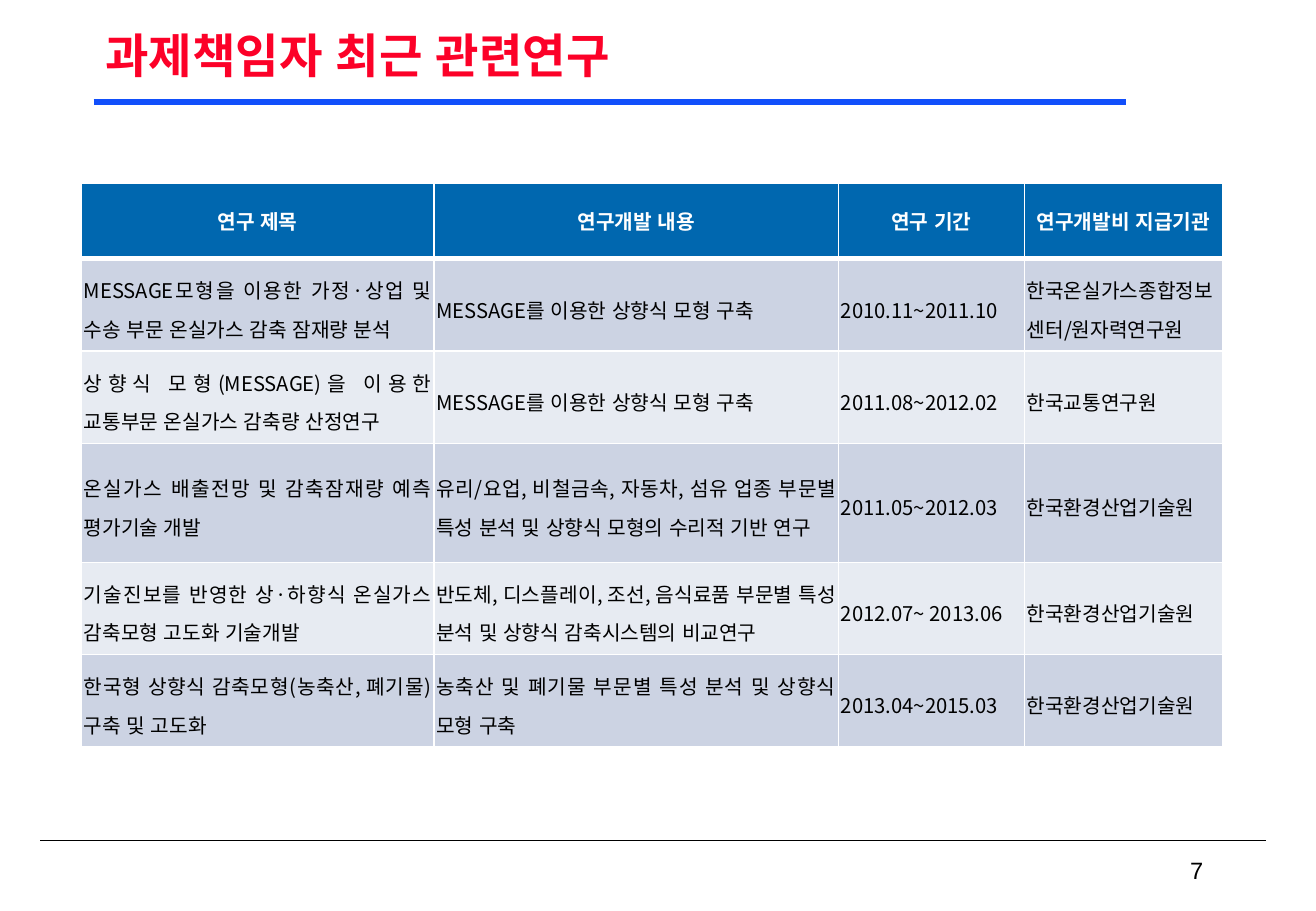
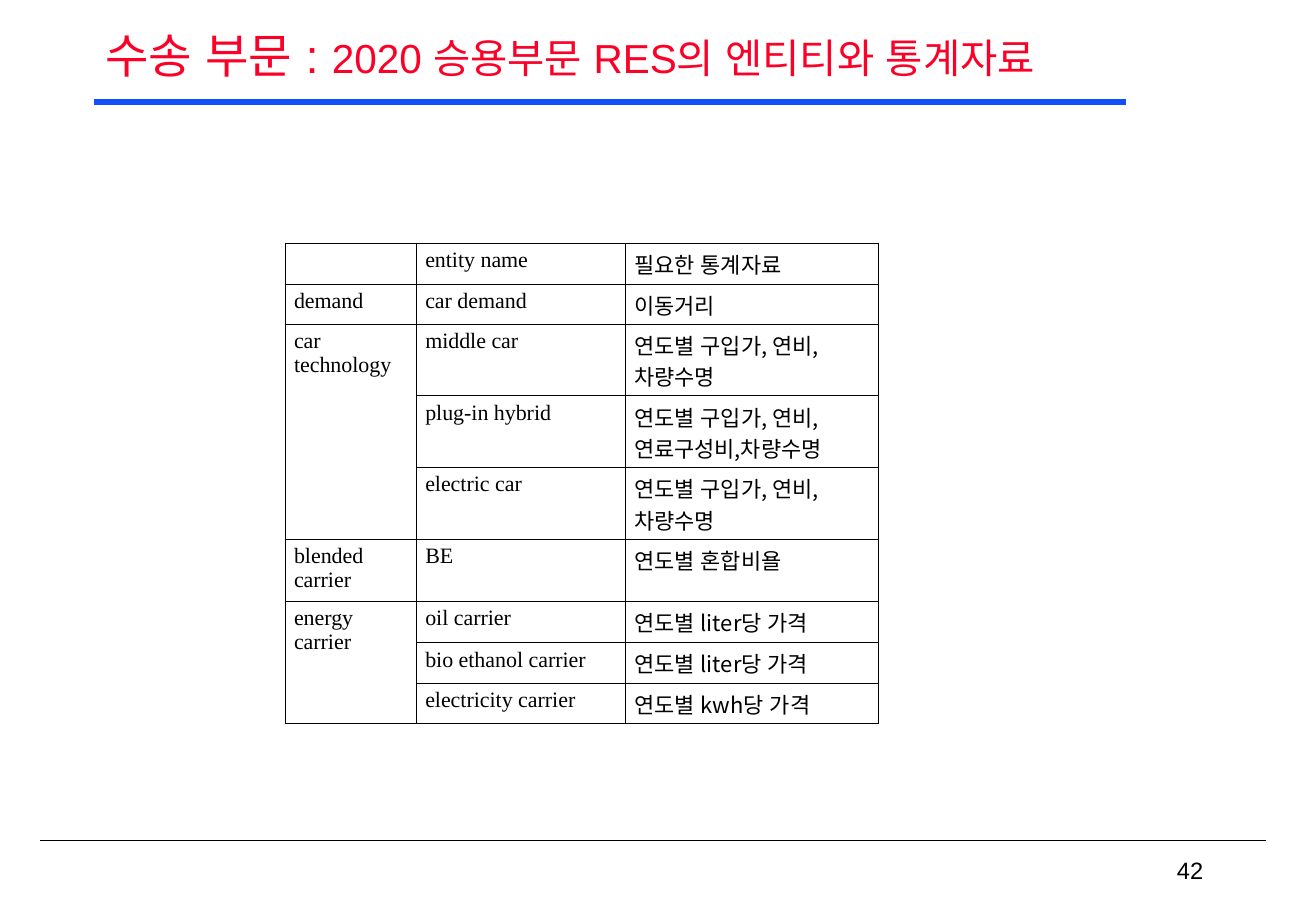
from lxml.etree import SubElement
from pptx import Presentation
from pptx.dml.color import RGBColor
from pptx.enum.lang import MSO_LANGUAGE_ID as LANGUAGE
from pptx.enum.shapes import MSO_CONNECTOR
from pptx.enum.text import MSO_ANCHOR as ANCHOR, PP_ALIGN as ALIGN
from pptx.oxml.ns import qn
from pptx.util import Inches, Pt

RED = RGBColor(0xFC, 0x01, 0x28)
BLUE = RGBColor(0x11, 0x4F, 0xFB)
HEADER_BLUE = RGBColor(0x00, 0x67, 0xAF)
BAND_DARK = RGBColor(0xCC, 0xD3, 0xE3)
BAND_LIGHT = RGBColor(0xE7, 0xEB, 0xF2)
BLACK = RGBColor(0, 0, 0)
WHITE = RGBColor(0xFF, 0xFF, 0xFF)
KOREAN = "Noto Sans CJK KR"
SERIF = "Times New Roman"

RULES = [(0.33, 10.42, 6.92, BLACK, 1), (0.77, 9.27, 0.84, BLUE, 3.75)]

RESEARCH = [
    ["연구 제목", "연구개발 내용", "연구 기간", "연구개발비 지급기관"],
    ["MESSAGE모형을 이용한 가정·상업 및 수송 부문 온실가스 감축 잠재량 분석",
     "MESSAGE를 이용한 상향식 모형 구축", "2010.11~2011.10",
     "한국온실가스종합정보센터/원자력연구원"],
    ["상향식 모형(MESSAGE)을 이용한 교통부문 온실가스 감축량 산정연구",
     "MESSAGE를 이용한 상향식 모형 구축", "2011.08~2012.02", "한국교통연구원"],
    ["온실가스 배출전망 및 감축잠재량 예측 평가기술 개발",
     "유리/요업, 비철금속, 자동차, 섬유 업종 부문별 특성 분석 및 상향식 모형의 수리적 기반 연구",
     "2011.05~2012.03", "한국환경산업기술원"],
    ["기술진보를 반영한 상·하향식 온실가스 감축모형 고도화 기술개발",
     "반도체, 디스플레이, 조선, 음식료품 부문별 특성 분석 및 상향식 감축시스템의 비교연구",
     "2012.07~ 2013.06", "한국환경산업기술원"],
    ["한국형 상향식 감축모형(농축산, 폐기물) 구축 및 고도화",
     "농축산 및 폐기물 부문별 특성 분석 및 상향식 모형 구축",
     "2013.04~2015.03", "한국환경산업기술원"],
]
ENTITIES = [
    ["", "entity name", "필요한 통계자료"],
    ["demand", "car demand", "이동거리"],
    ["car\ntechnology", "middle car", "연도별 구입가, 연비,\n차량수명"],
    ["", "plug-in hybrid", "연도별 구입가, 연비,\n연료구성비,차량수명"],
    ["", "electric car", "연도별 구입가, 연비,\n차량수명"],
    ["blended\ncarrier", "BE", "연도별 혼합비욜"],
    ["energy\ncarrier", "oil carrier", "연도별 liter당 가격"],
    ["", "bio ethanol carrier", "연도별 liter당 가격"],
    ["", "electricity carrier", "연도별 kwh당 가격"],
]
SLIDES = [
    ("7", True, [("과제책임자 최근 관련연구", 28)],
     (0.67, 1.51), [2.9, 3.33, 1.53, 1.63],
     [0.62, 0.76, 0.76, 0.98, 0.76, 0.76], RESEARCH),
    ("42", False, [("수송 부문 : ", 28), ("2020 승용부문 RES의 엔티티와 통계자료", 24)],
     (2.35, 2), [1.08, 1.72, 2.08],
     [0.34, 0.33, 0.59, 0.59, 0.59, 0.46, 0.34, 0.33, 0.33], ENTITIES),
]


def set_font(font, size, name, color, bold=False):
    font.size, font.name, font.bold = Pt(size), name, bold
    font.color.rgb = color
    font.language_id = LANGUAGE.KOREAN
    SubElement(font._rPr, qn("a:ea"), typeface=KOREAN)


def format_cell(cell, text, inset_x, inset_y, color, **widths):
    cell.text_frame.text = text
    cell.margin_left = cell.margin_right = Inches(inset_x)
    cell.margin_top = cell.margin_bottom = Inches(inset_y)
    for side in "LRTB":
        ln = SubElement(cell._tc.get_or_add_tcPr(), qn("a:ln" + side),
                        w=str(Pt(widths.get(side, widths["line"]))))
        fill = SubElement(ln, qn("a:solidFill"))
        SubElement(fill, qn("a:srgbClr"), val=str(color))


prs = Presentation()
prs.slide_width, prs.slide_height = Inches(10.83), Inches(7.5)
tables = []

for number, bold, title, (left, top), widths, heights, rows in SLIDES:
    s = prs.slides.add_slide(prs.slide_layouts[6])
    for x1, x2, y, color, weight in RULES:
        line = s.shapes.add_connector(MSO_CONNECTOR.STRAIGHT, Inches(x1), Inches(y),
                                      Inches(x2), Inches(y))
        line.line.color.rgb = color
        line.line.width = Pt(weight)
        SubElement(line._element.spPr, qn("a:effectLst"))

    tf = s.shapes.add_textbox(Inches(0.77), Inches(0.17), Inches(9.29), Inches(0.62)).text_frame
    tf.word_wrap, tf.vertical_anchor = True, ANCHOR.MIDDLE
    p = tf.paragraphs[0]
    p.alignment, p.line_spacing = ALIGN.JUSTIFY, 0.9
    for text, size in title:
        r = p.add_run()
        r.text = text
        set_font(r.font, size, "Arial", RED, bold)

    tf = s.shapes.add_textbox(Inches(7.75), Inches(7), Inches(2.25), Inches(0.33)).text_frame
    tf.word_wrap, tf.vertical_anchor = True, ANCHOR.MIDDLE
    p = tf.paragraphs[0]
    p.text, p.alignment = number, ALIGN.RIGHT
    set_font(p.font, 14, "Arial", BLACK)

    table = s.shapes.add_table(len(rows), len(widths), Inches(left), Inches(top),
                               Inches(sum(widths)), Inches(sum(heights))).table
    table.first_row = table.horz_banding = False
    for column, width in zip(table.columns, widths):
        column.width = Inches(width)
    for row, height in zip(table.rows, heights):
        row.height = Inches(height)
    tables.append(table)

research, entities = tables

for i, row in enumerate(RESEARCH):
    header = i == 0
    for j, text in enumerate(row):
        cell = research.cell(i, j)
        format_cell(cell, text, 0.02, 0.02, WHITE, line=1,
                    T=3 if i == 1 else 1, B=3 if header else 1)
        cell.fill.solid()
        cell.fill.fore_color.rgb = HEADER_BLUE if header else BAND_DARK if i % 2 else BAND_LIGHT
        cell.vertical_anchor = ANCHOR.MIDDLE
        p = cell.text_frame.paragraphs[0]
        set_font(p.font, 12, KOREAN, WHITE if header else BLACK, header)
        if header:
            p.alignment = ALIGN.CENTER
        else:
            p.alignment = ALIGN.LEFT if j == 3 else ALIGN.JUSTIFY
            p.line_spacing = 1.3

for i, row in enumerate(ENTITIES):
    for j, text in enumerate(row):
        cell = entities.cell(i, j)
        format_cell(cell, text, 0.07, 0.04, BLACK, line=0.56)
        cell.fill.background()
        for p in cell.text_frame.paragraphs:
            set_font(p.font, 13, KOREAN if j == 2 else SERIF, BLACK)

for first in (2, 6):
    entities.cell(first, 0).merge(entities.cell(first + 2, 0))

prs.save("out.pptx")
